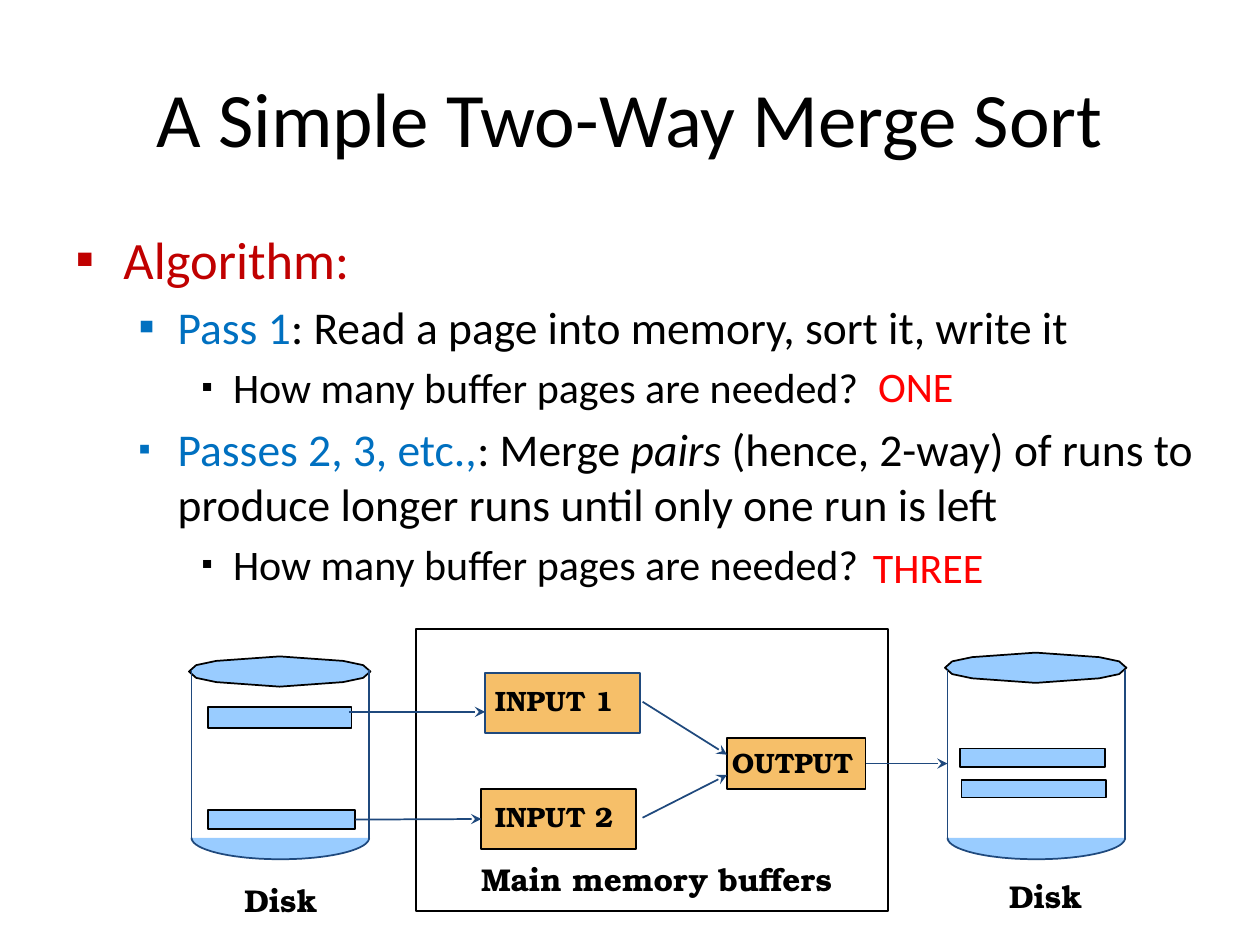
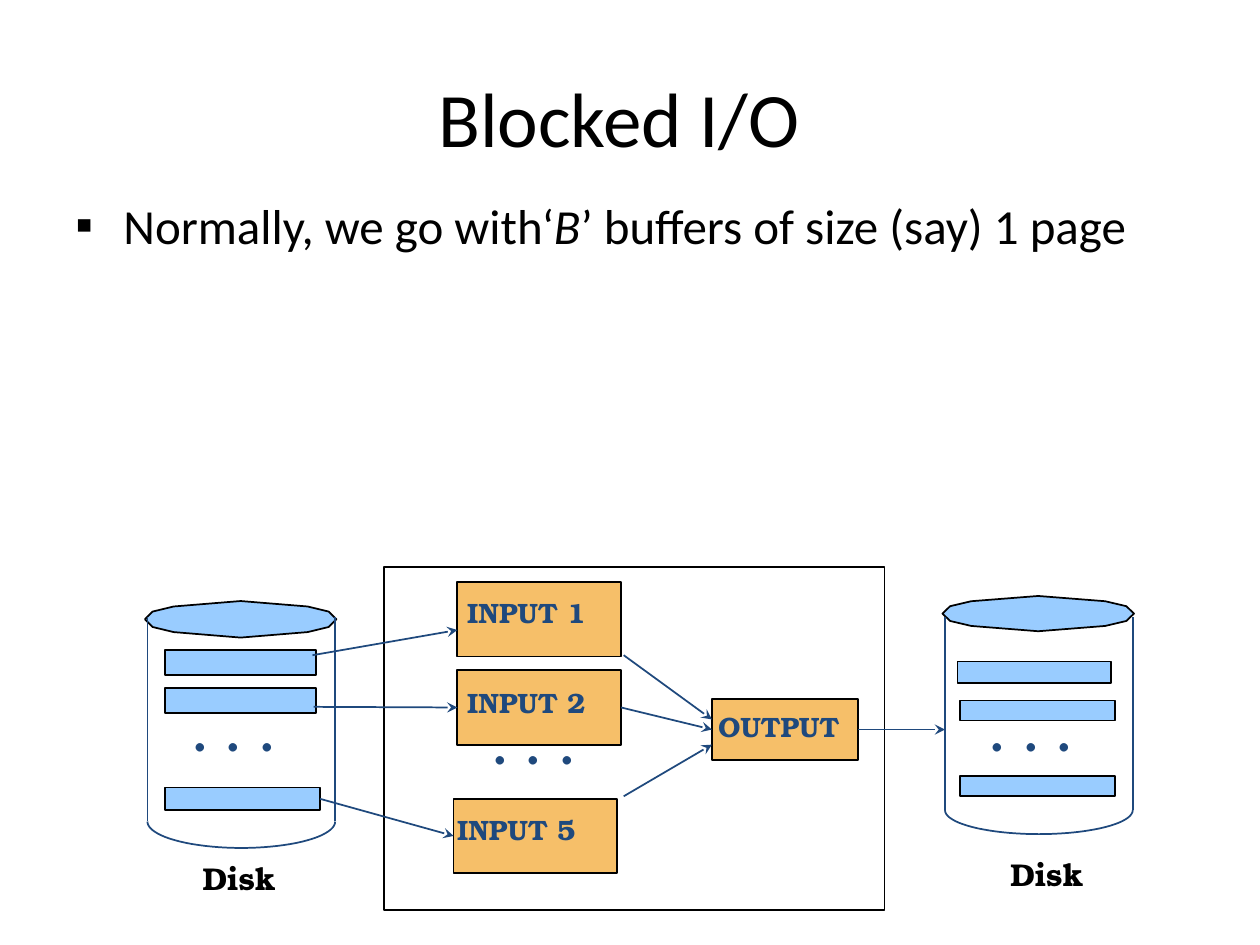
from math import cos, pi, sin

from lxml import etree
from pptx import Presentation
from pptx.dml.color import RGBColor
from pptx.enum.shapes import MSO_CONNECTOR, MSO_SHAPE
from pptx.enum.text import MSO_ANCHOR, MSO_AUTO_SIZE, PP_ALIGN
from pptx.oxml.ns import qn
from pptx.util import Pt

PX = 9144  # 100 px to the inch
RECT = MSO_SHAPE.RECTANGLE
LINE = MSO_CONNECTOR.STRAIGHT
MID = MSO_ANCHOR.MIDDLE
TOP = MSO_ANCHOR.TOP
CENTER = PP_ALIGN.CENTER
FIXED = MSO_AUTO_SIZE.NONE
GROW = MSO_AUTO_SIZE.SHAPE_TO_FIT_TEXT
RIGHT, LEFT = 3, 1
SANS, SERIF = "Calibri", "TeX Gyre Bonum"
COLORS = {
    "black": "000000", "navy": "1F497D", "sky": "99CCFF", "sand": "F6BF69",
    "dark": "C00000", "blue": "0070C0", "red": "FF0000",
}
# left margin and hanging indent for each list level
INDENTS = [(38, -38), (81, -31), (125, -25)]
# upper half of a disk lid, as shares of its width and height
LID = [(0, .5), (.04, .29), (.15, .15), (.5, 0), (.85, .15), (.96, .29), (1, .5)]


def emu(*lengths):
    return [round(n * PX) for n in lengths]


class Deck:
    """Holds the style and the current slide."""

    def __init__(self):
        self.file = Presentation()
        self.file.slide_width, self.file.slide_height = emu(1000, 750)
        self.slide = None

    def start(self, title, box):
        self.slide = self.file.slides.add_slide(self.file.slide_layouts[1])
        shape = self.slide.shapes.title
        self.place(shape, box)
        frame = shape.text_frame
        frame.text = title
        frame.vertical_anchor = MID
        frame.paragraphs[0].alignment = CENTER
        self.font(frame.paragraphs[0].runs[0], 44)

    def place(self, shape, box):
        shape.left, shape.top, shape.width, shape.height = emu(*box)

    def font(self, run, size, color="black", face=SANS, bold=False, italic=False):
        run.font.size = Pt(size)
        run.font.name = face
        run.font.bold = bold
        run.font.italic = italic
        run.font.color.rgb = RGBColor.from_string(COLORS[color])

    def paint(self, shape, fill, line="black"):
        shape.shadow.inherit = False
        if fill:
            shape.fill.solid()
            shape.fill.fore_color.rgb = RGBColor.from_string(COLORS[fill])
        else:
            shape.fill.background()
        shape.line.color.rgb = RGBColor.from_string(COLORS[line])
        shape.line.width = Pt(1)

    def list(self, box, rows):
        """Fill the body; a row is level, size, bullet percent and runs."""
        body = self.slide.placeholders[1]
        self.place(body, box)
        frame = body.text_frame
        frame.auto_size = FIXED
        frame.vertical_anchor = TOP
        for i, (level, size, share, parts) in enumerate(rows):
            para = frame.add_paragraph() if i else frame.paragraphs[0]
            para.level = level
            self.bullet(para, level, share)
            for text, color, italic in parts:
                run = para.add_run()
                run.text = text
                self.font(run, size, color, italic=italic)

    def bullet(self, para, level, share):
        props = para._p.get_or_add_pPr()
        for key, value in zip(("marL", "indent"), emu(*INDENTS[level])):
            props.set(key, str(value))
        for tag, key, value in (("a:buSzPct", "val", share * 1000),
                                ("a:buFont", "typeface", SANS),
                                ("a:buChar", "char", "▪")):
            etree.SubElement(props, qn(tag)).set(key, str(value))

    def label(self, text, box, size, color="black", face=SERIF):
        shape = self.slide.shapes.add_textbox(*emu(*box))
        frame = shape.text_frame
        frame.word_wrap = False
        frame.auto_size = GROW
        frame.text = text
        self.font(frame.paragraphs[0].runs[0], size, color, face, face == SERIF)

    def dots(self, x, y):
        self.label(". . .", (x, y, 89, 76), 40, "navy", SANS)

    def rect(self, box, fill=None, line="black"):
        shape = self.slide.shapes.add_shape(RECT, *emu(*box))
        self.paint(shape, fill, line)
        return shape

    def bars(self, *boxes):
        return [self.rect(box, "sky") for box in boxes]

    def line(self, start, end):
        link = self.slide.shapes.add_connector(LINE, *emu(*start, *end))
        link.line.color.rgb = RGBColor.from_string(COLORS["navy"])
        link.line.width = Pt(1)
        etree.SubElement(link._element.spPr, qn("a:effectLst"))
        return link

    def arrow(self, start, end):
        """Each end is a point, or a rectangle to join at its side."""
        ends = [p if isinstance(p, tuple) else (0, 0) for p in (start, end)]
        link = self.line(*ends)
        if not isinstance(start, tuple):
            link.begin_connect(start, RIGHT)
        if not isinstance(end, tuple):
            link.end_connect(end, LEFT)
        tail = etree.SubElement(link.line._get_or_add_ln(), qn("a:tailEnd"))
        tail.set("type", "stealth")

    def curve(self, points, close, fill, line):
        first, *rest = [emu(*point) for point in points]
        pen = self.slide.shapes.build_freeform(*first)
        pen.add_line_segments(rest, close=close)
        self.paint(pen.convert_to_shape(), fill, line)

    def disk(self, lid, top, base, deep, fill=None):
        """Draw the lid, two walls from top to base, and a round floor."""
        x, y, w, h = lid
        ring = LID + [(a, 1 - b) for a, b in LID[-2:0:-1]]
        self.curve([(x + a * w, y + b * h) for a, b in ring], True, "sky", "black")
        left, right = x + 2, x + w - 1
        mid, half = (left + right) / 2, (right - left) / 2
        turns = [pi * i / 40 for i in range(41)]
        self.curve([(mid - half * cos(t), base + deep * sin(t)) for t in turns],
                   False, fill, "navy")
        for wall in (left, right):
            self.line((wall, top), (wall, base))


def merge(deck):
    deck.start("A Simple Two-Way Merge Sort", (50, 30, 900, 125))
    ask = (2, 24, 75, [("How many buffer pages are needed?", "black", False)])
    deck.list((50, 175, 933, 542), [
        (0, 30, 100, [("Algorithm:", "dark", False)]),
        (1, 26, 100, [("Pass 1", "blue", False),
                      (": Read a page into memory, sort it, write it", "black", False)]),
        ask,
        (1, 26, 75, [("Passes 2, 3, etc.,", "blue", False),
                     (": Merge ", "black", False),
                     ("pairs", "black", True),
                     (" (hence, 2-way) of runs to produce longer runs until"
                      " only one run is left", "black", False)]),
        ask,
    ])
    deck.label("ONE", (687, 281, 81, 50), 24, "red", SANS)
    deck.label("THREE", (683, 425, 109, 50), 24, "red", SANS)

    deck.disk((150, 521, 144, 24), 532, 665, 17, "sky")
    deck.disk((750, 518, 144, 24), 532, 665, 17, "sky")
    _, low = deck.bars((165, 561, 114, 17), (165, 643, 117, 15))
    deck.bars((762, 594, 115, 15), (763, 619, 115, 14))
    deck.rect((330, 499, 375, 224))
    deck.rect((385, 534, 123, 48), "sand", "navy")
    second = deck.rect((382, 626, 123, 48), "sand")
    out = deck.rect((577, 586, 110, 40), "sand")

    deck.label("INPUT 1", (383, 538, 114, 36), 16)
    deck.label("INPUT 2", (383, 630, 114, 36), 16)
    deck.label("OUTPUT", (571, 587, 117, 36), 16)
    deck.label("Main memory buffers", (372, 678, 299, 40), 18)
    deck.label("Disk", (184, 694, 78, 40), 18)
    deck.label("Disk", (791, 691, 78, 40), 18)

    deck.arrow((277, 565), (385, 565))
    deck.arrow(low, second)
    deck.arrow((510, 557), (577, 599))
    deck.arrow((510, 649), (577, 615))
    deck.arrow(out, (752, 606))


def blocked(deck):
    deck.start("Blocked I/O", (0, 30, 983, 125))
    deck.list((50, 150, 933, 567), [
        (0, 28, 100, [("Normally, we go with‘", "black", False),
                      ("B", "black", True),
                      ("’ buffers of size (say) 1 page", "black", False)]),
    ])

    deck.disk((115, 477, 152, 29), 490, 652, 21)
    deck.disk((748, 473, 152, 28), 490, 643, 19)
    *_, last = deck.bars((131, 516, 120, 20), (131, 546, 120, 20), (131, 625, 123, 18))
    deck.bars((760, 525, 122, 17), (762, 556, 123, 16), (762, 616, 123, 16))
    deck.rect((305, 450, 397, 272))
    _, second, fifth = [deck.rect((x, y, 130, 59), "sand")
                        for x, y in ((363, 462), (363, 532), (360, 634))]
    out = deck.rect((565, 555, 116, 48), "sand")

    for text, x, y in (("INPUT 1", 361, 468), ("INPUT 2", 361, 539),
                       ("INPUT 5", 353, 640), ("OUTPUT", 560, 558)):
        deck.label(text, (x, y, 118, 36), 16, "navy")
    deck.label("Disk", (151, 677, 78, 40), 18)
    deck.label("Disk", (792, 674, 78, 40), 18)
    deck.dots(142, 536)
    deck.dots(380, 546)
    deck.dots(775, 536)

    deck.arrow((248, 520), (363, 500))
    deck.arrow((249, 561), second)
    deck.arrow(last, fifth)
    deck.arrow((495, 520), (565, 571))
    deck.arrow(second, out)
    deck.arrow((495, 632), (565, 591))
    deck.arrow(out, (750, 579))


def main():
    deck = Deck()
    merge(deck)
    blocked(deck)
    deck.file.save("out.pptx")


if __name__ == "__main__":
    main()
